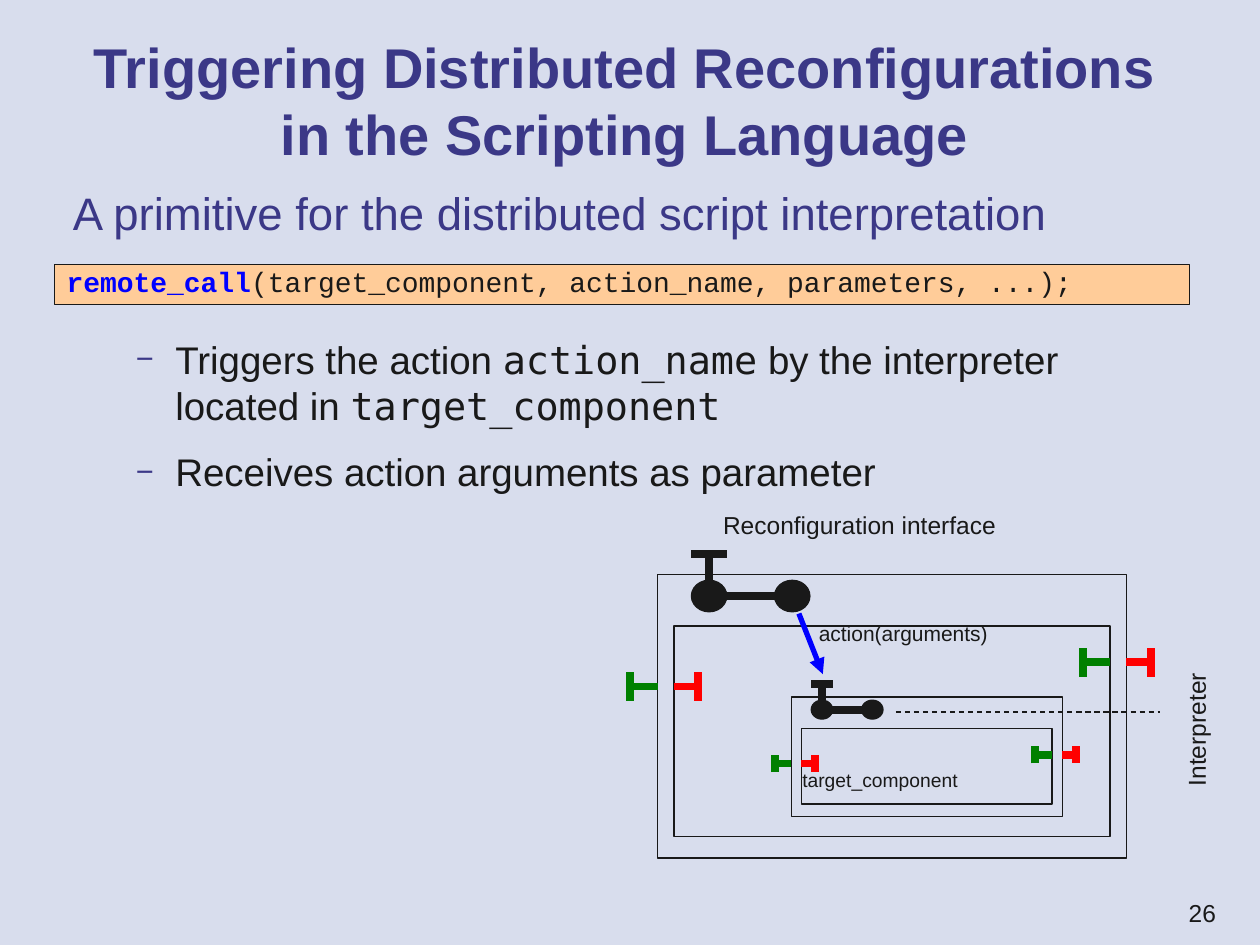
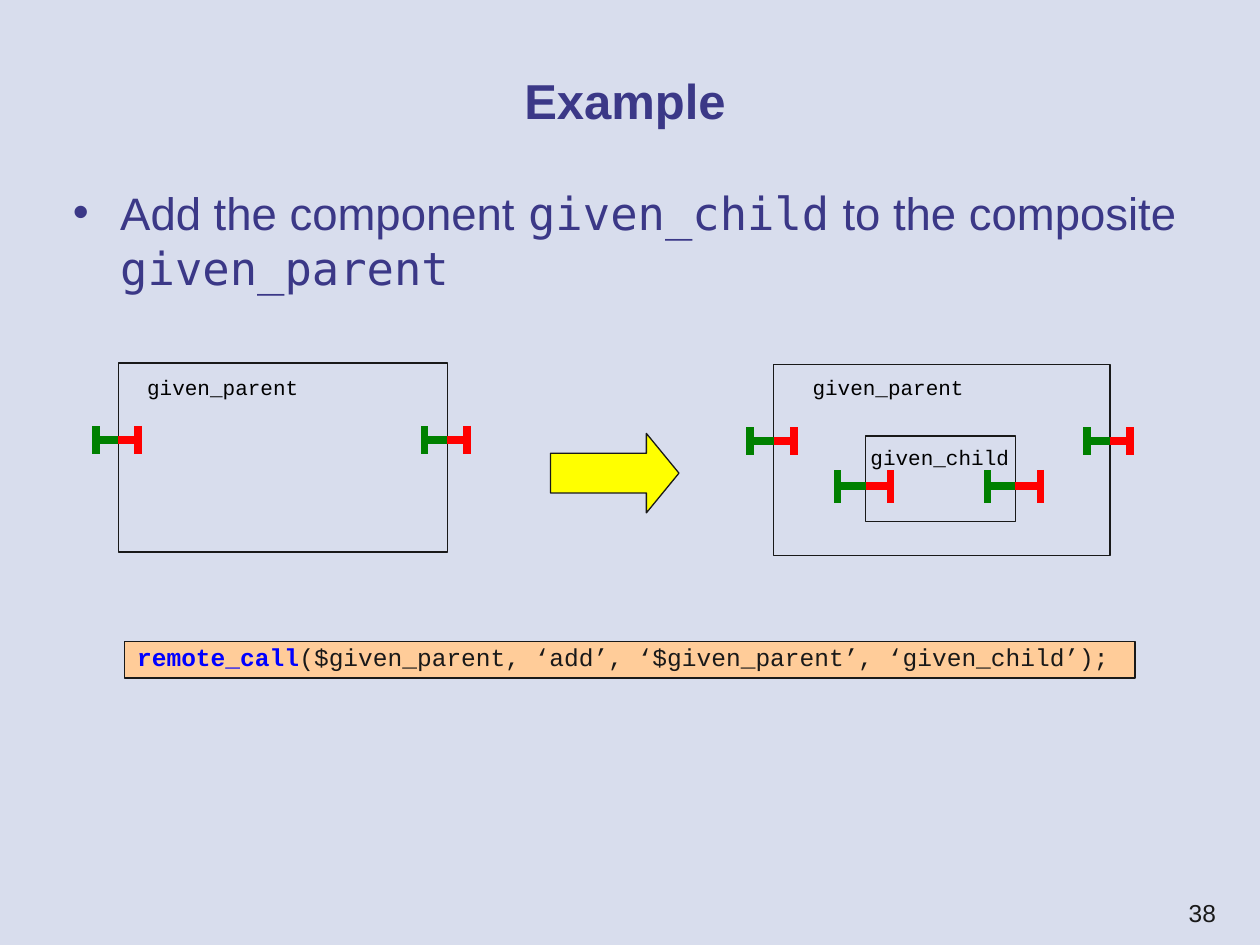
from dataclasses import dataclass
from typing import Any, NamedTuple

import pptx
import pptx.dml.color
import pptx.enum.dml
import pptx.enum.shapes
import pptx.enum.text
import pptx.oxml
import pptx.oxml.ns
import pptx.util

Pt = pptx.util.Pt
Kind = pptx.enum.shapes.MSO_SHAPE
Align = pptx.enum.text.PP_ALIGN
Anchor = pptx.enum.text.MSO_ANCHOR
Fit = pptx.enum.text.MSO_AUTO_SIZE

PAPER, INDIGO, INK, BLACK = "D8DDED", "3B3887", "191919", "000000"
GREEN, RED, BLUE, PEACH, YELLOW = "008000", "FF0000", "0000FF", "FFCC99", "FFFF00"
SANS, CODE, MONO = "Arial", "Courier New", "DejaVu Sans Mono"
THIN, THICK = 0.75, 4.5
TIGHT = 0.81


class Box(NamedTuple):
    x: float
    y: float
    w: float
    h: float

    @property
    def right(self) -> float:
        return self.x + self.w


class Run(NamedTuple):
    text: str
    font: str = SANS
    size: float = 14
    color: str = INK
    bold: bool = False


@dataclass
class Para:
    runs: list[Run]
    form: dict[str, Any]
    bullet: str = ""
    scale: int = 100
    left: float = 0
    hang: float = 0


@dataclass
class Part:
    """A component with a gate through its left and its right wall."""
    outer: Box
    inner: Box
    left: float
    right: float
    reach: float
    half: float


@dataclass
class Joint:
    """Two linked balls, the first with a T bar above it."""
    x: float
    y: float
    gap: float
    w: float
    h: float
    rise: float


TITLE, BODY = Box(31.7, 23.8, 650.9, 66.2), Box(34.6, 102.2, 649.4, 360)
FOOT = Box(570.2, 509.8, 131.8, 18)


def hue(code: str) -> pptx.dml.color.RGBColor:
    return pptx.dml.color.RGBColor.from_string(code)


def put(item: Any, form: dict[str, Any]) -> None:
    for name, value in form.items():
        setattr(item, name, value)


def place(box: Box) -> list[pptx.util.Length]:
    return [Pt(side) for side in box]


def mark(para: Any, spec: Para) -> None:
    """Set the indents and the bullet of a paragraph."""
    props = para._p.get_or_add_pPr()
    props.set("marL", str(Pt(spec.left)))
    props.set("indent", str(Pt(-spec.hang)))
    if not spec.bullet:
        return
    space = pptx.oxml.ns.nsdecls("a")
    for xml in (
        f'<a:buClr {space}><a:srgbClr val="{INDIGO}"/></a:buClr>',
        f'<a:buSzPct {space} val="{spec.scale * 1000}"/>',
        f'<a:buFont {space} typeface="{SANS}"/>',
        f'<a:buChar {space} char="{spec.bullet}"/>',
    ):
        props.append(pptx.oxml.parse_xml(xml))


def write(frame: Any, paras: list[Para], anchor: Any = Anchor.TOP) -> None:
    put(frame, {"word_wrap": True, "auto_size": Fit.NONE, "vertical_anchor": anchor})
    for index, spec in enumerate(paras):
        para = frame.add_paragraph() if index else frame.paragraphs[0]
        mark(para, spec)
        put(para, spec.form)
        for run in spec.runs:
            piece = para.add_run()
            piece.text = run.text
            put(piece.font, {"name": run.font, "size": Pt(run.size), "bold": run.bold})
            piece.font.color.rgb = hue(run.color)


def text(slide: Any, box: Box, paras: list[Para], turn: float = 0) -> None:
    item = slide.shapes.add_textbox(*place(box))
    item.rotation = turn
    write(item.text_frame, paras)


def label(slide: Any, box: Box, run: Run, turn: float = 0) -> None:
    text(slide, box, [Para([run], {"line_spacing": TIGHT})], turn)


def shape(slide: Any, box: Box, fill: str = "", kind: Any = Kind.RECTANGLE) -> Any:
    item = slide.shapes.add_shape(kind, *place(box))
    item.shadow.inherit = False
    if fill:
        item.fill.solid()
        item.fill.fore_color.rgb = hue(fill)
    else:
        item.fill.background()
    item.line.color.rgb = hue(INK)
    item.line.width = Pt(THIN)
    return item


def line(slide: Any, x1: float, y1: float, x2: float, y2: float, color: str,
         width: float = THICK, dash: Any = None, head: bool = False) -> None:
    ends = [Pt(end) for end in (x1, y1, x2, y2)]
    item = slide.shapes.add_connector(pptx.enum.shapes.MSO_CONNECTOR.STRAIGHT, *ends)
    item.line.color.rgb = hue(color)
    put(item.line, {"width": Pt(width), "dash_style": dash})
    space = pptx.oxml.ns.nsdecls("a")
    if head:
        tail = pptx.oxml.parse_xml(f'<a:tailEnd {space} type="triangle"/>')
        item.line._get_or_add_ln().append(tail)
    item._element.spPr.append(pptx.oxml.parse_xml(f"<a:effectLst {space}/>"))


def gate(slide: Any, green: float, red: float, y: float, part: Part) -> None:
    """Draw a green T to the left of one wall and a red T to the right of another."""
    tip = green - part.reach
    line(slide, green, y, tip, y, GREEN)
    line(slide, tip, y + part.half, tip, y - part.half, GREEN)
    tip = red + part.reach
    line(slide, red, y, tip, y, RED)
    line(slide, tip - 1.7, y - part.half, tip - 1.7, y + part.half, RED)


def draw(slide: Any, part: Part) -> None:
    shape(slide, part.outer)
    if part.inner != part.outer:
        shape(slide, part.inner)
    gate(slide, part.outer.x, part.inner.x, part.left, part)
    gate(slide, part.inner.right, part.outer.right, part.right, part)


def link(slide: Any, joint: Joint) -> None:
    half, top = joint.w / 2, joint.y - joint.rise
    for x in (joint.x, joint.x + joint.gap):
        ball = Box(x - half, joint.y - joint.h / 2, joint.w, joint.h)
        shape(slide, ball, INK, Kind.OVAL)
    line(slide, joint.x, joint.y, joint.x, top, INK)
    line(slide, joint.x - half, top, joint.x + half, top, INK)
    line(slide, joint.x, joint.y, joint.x + joint.gap, joint.y, INK)


def call(slide: Any, box: Box, args: str, size: float) -> None:
    """Draw a code bar with a remote call in it."""
    runs = [Run("remote_call", CODE, size, BLUE, True), Run(args, CODE, size)]
    form = {"line_spacing": TIGHT, "alignment": Align.LEFT}
    write(shape(slide, box, PEACH).text_frame, [Para(runs, form)])


def start(deck: Any, title: str, size: float, page: int) -> Any:
    slide = deck.slides.add_slide(deck.slide_layouts[5])
    head = slide.shapes.title
    put(head, dict(zip(("left", "top", "width", "height"), place(TITLE))))
    run = Run(title, SANS, size, INDIGO, True)
    write(head.text_frame, [Para([run], {"alignment": Align.CENTER})], Anchor.MIDDLE)
    text(slide, FOOT, [Para([Run(str(page))], {"alignment": Align.RIGHT})])
    return slide


def trigger(deck: Any) -> None:
    slide = start(deck, "Triggering Distributed Reconfigurations "
                  "in the Scripting Language", 32, 26)
    lead = Run("A primitive for the distributed script interpretation", SANS, 26, INDIGO)
    points = [
        [Run("Triggers the action ", SANS, 22), Run("action_name", MONO, 22),
         Run(" by the interpreter located in ", SANS, 22),
         Run("target_component", MONO, 22)],
        [Run("Receives action arguments as parameter", SANS, 22)],
    ]
    after = {"space_after": Pt(6)}
    paras = [Para([lead], after, left=27, hang=27)]
    for runs, gap in zip(points, (49, 5.5)):
        paras.append(Para(runs, after | {"space_before": Pt(gap)}, "−", 80, 58.5, 22.5))
    text(slide, BODY, paras)

    draw(slide, Part(Box(452.2, 398.2, 154.8, 68.4), Box(457.9, 416.2, 143.3, 43.2),
                     436.3, 431.3, 9.5, 4.9))
    link(slide, Joint(469.7, 405.5, 28.8, 12.2, 10.8, 14.5))
    draw(slide, Part(Box(375.8, 328.3, 267.8, 162), Box(385.2, 357.8, 249.1, 120.2),
                     392.3, 378.5, 15.6, 8.2))
    link(slide, Joint(405.2, 340.6, 47.5, 20.2, 18, 23.8))
    line(slide, 456.5, 350.6, 470.2, 385.2, BLUE, 3, head=True)
    line(slide, 511.9, 406.8, 663.1, 406.8, INK, THIN, pptx.enum.dml.MSO_LINE.DASH)

    label(slide, Box(406.1, 290.9, 261.4, 20.9), Run("Reconfiguration interface"))
    label(slide, Box(460.8, 353.5, 170.6, 18.7), Run("action(arguments)", size=12))
    label(slide, Box(631.4, 392.4, 107.3, 20.9), Run("Interpreter"), 270)
    label(slide, Box(451.4, 437.8, 160.6, 18), Run("target_component", size=11))
    call(slide, Box(31, 151.2, 648.7, 23),
         "(target_component, action_name, parameters, ...);", 16)


def example(deck: Any) -> None:
    slide = start(deck, "Example", 28, 38)
    words = [("Add the component ", SANS), ("given_child", MONO),
             (" to the composite ", SANS), ("given_parent", MONO)]
    runs = [Run(word, font, 26, INDIGO) for word, font in words]
    text(slide, BODY, [Para(runs, {}, "•", 100, 27, 27)])

    for box, y, reach, half in (
        (Box(67.7, 207.4, 187.9, 108), 251.3, 13, 7.9),
        (Box(442.1, 208.1, 192.2, 109.4), 252, 13.3, 7.9),
        (Box(494.6, 249.1, 85.7, 49), 277.9, 16, 9.4),
    ):
        draw(slide, Part(box, box, y, y, reach, half))
    for x, y, name in ((77, 213.1, "given_parent"), (457.2, 213.1, "given_parent"),
                       (490.3, 253.1, "given_child")):
        label(slide, Box(x, y, 109.4, 18.7), Run(name, CODE, 12, BLACK))

    arrow = shape(slide, Box(314.6, 247.7, 73.4, 45.4), YELLOW, Kind.RIGHT_ARROW)
    arrow.adjustments[1] = 0.41
    call(slide, Box(71.3, 366.5, 577.4, 20.9),
         "($given_parent, ‘add’, ‘$given_parent’, ‘given_child’);", 14)


def main() -> None:
    deck = pptx.Presentation()
    put(deck, {"slide_width": Pt(720), "slide_height": Pt(540)})
    paper = deck.slide_master.background.fill
    paper.solid()
    paper.fore_color.rgb = hue(PAPER)
    trigger(deck)
    example(deck)
    deck.save("out.pptx")


if __name__ == "__main__":
    main()
